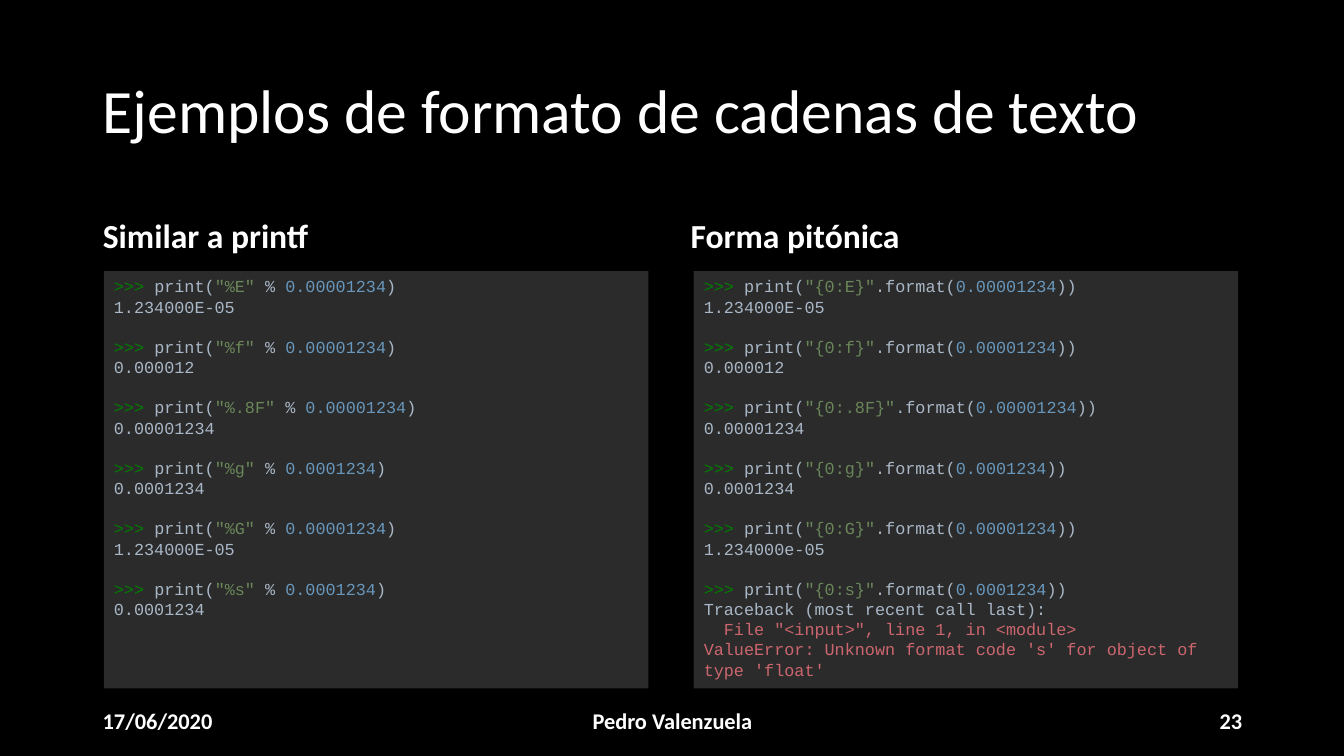
"""Build a slide that compares two ways of formatting strings in Python."""
import dataclasses
import typing

import lxml.etree
import pptx
import pptx.dml.color
import pptx.enum.text
import pptx.oxml.ns
import pptx.util

Inches = pptx.util.Inches
Pt = pptx.util.Pt
Align = pptx.enum.text.PP_ALIGN
Anchor = pptx.enum.text.MSO_ANCHOR


@dataclasses.dataclass(frozen=True)
class Theme:
    back: str = "000000"
    text: str = "FFFFFF"
    panel: str = "2B2B2B"
    prompt: str = "007F00"
    plain: str = "A9B7C6"
    quote: str = "6A8759"
    number: str = "6897BB"
    error: str = "CC666E"
    sans: str = "Calibri"
    mono: str = "Courier New"
    title: int = 44
    head: int = 24
    foot: int = 16
    code: int = 12
    line: float = 14.4


THEME = Theme()


@dataclasses.dataclass(frozen=True)
class Box:
    left: float
    top: float
    width: float
    height: float


@dataclasses.dataclass(frozen=True)
class Label:
    text: str
    box: Box
    size: int
    bold: bool = True
    align: Align = Align.LEFT
    anchor: Anchor = Anchor.MIDDLE
    space: float = 1.0


@dataclasses.dataclass(frozen=True)
class Column:
    head: Label
    panel: Box
    quote: str
    middle: str
    close: str
    results: tuple[str, ...]
    errors: tuple[str, ...] = ()


SMALL = "0.0001234"
TINY = "0.00001234"
CASES = (("E", TINY), ("f", TINY), (".8F", TINY),
         ("g", SMALL), ("G", TINY), ("s", SMALL))
SHARED = ("1.234000E-05", "0.000012", TINY, SMALL)

TITLE = Label("Ejemplos de formato de cadenas de texto",
              Box(0.92, 0.4, 11.5, 1.45), THEME.title, bold=False, space=0.9)


def header(text: str, left: float, width: float) -> Label:
    """Describe the heading of a column."""
    return Label(text, Box(left, 2.11, width, 0.48), THEME.head,
                 anchor=Anchor.BOTTOM, space=0.9)


COLUMNS = (
    Column(header("Similar a printf", 0.92, 5.64), Box(1.03, 2.69, 5.4, 4.14),
           '"%{}" ', "% ", ")", SHARED + ("1.234000E-05", SMALL)),
    Column(header("Forma pitónica", 6.75, 5.67), Box(6.88, 2.69, 5.4, 4.14),
           '"{{0:{}}}"', ".format(", "))",
           SHARED + ("1.234000e-05", "Traceback (most recent call last):"),
           ('  File "<input>", line 1, in <module>',
            "ValueError: Unknown format code 's' for object of type 'float'")),
)
FOOTERS = (
    Label("17/06/2020", Box(0.92, 6.95, 3, 0.4), THEME.foot),
    Label("Pedro Valenzuela", Box(4.42, 6.95, 4.5, 0.4), THEME.foot,
          align=Align.CENTER),
    Label("23", Box(9.42, 6.95, 3, 0.4), THEME.foot, align=Align.RIGHT),
)


def color(code: str) -> pptx.dml.color.RGBColor:
    """Turn a hex code into a colour."""
    return pptx.dml.color.RGBColor.from_string(code)


def place(shape: typing.Any, box: Box, fill: str, anchor: Anchor) -> None:
    """Move and fill a shape and set up its text frame."""
    shape.left, shape.top = Inches(box.left), Inches(box.top)
    shape.width, shape.height = Inches(box.width), Inches(box.height)
    shape.fill.solid()
    shape.fill.fore_color.rgb = color(fill)
    frame = shape.text_frame
    frame.word_wrap = True
    frame.auto_size = pptx.enum.text.MSO_AUTO_SIZE.NONE
    frame.vertical_anchor = anchor


def write(shape: typing.Any, label: Label) -> None:
    """Put a one-line label in a shape."""
    place(shape, label.box, THEME.back, label.anchor)
    line = shape.text_frame.paragraphs[0]
    line.text = label.text
    line.alignment = label.align
    line.line_spacing = label.space
    line.space_before = Pt(0)
    line.font.name = THEME.sans
    line.font.size = Pt(label.size)
    line.font.bold = label.bold
    line.font.color.rgb = color(THEME.text)


def add_line(line: typing.Any, parts: list[tuple[str, str]], gap: float) -> None:
    """Fill a paragraph with coloured pieces of code."""
    props = line._p.get_or_add_pPr()
    props.set("marL", "0")
    props.set("indent", "0")
    lxml.etree.SubElement(props, pptx.oxml.ns.qn("a:buNone"))
    line.alignment = Align.LEFT
    line.line_spacing = Pt(THEME.line)
    line.space_before = Pt(gap)
    line.font.name = THEME.mono
    line.font.size = Pt(THEME.code)
    for text, hue in parts:
        run = line.add_run()
        run.text = text
        font = run.font if len(parts) > 1 else line.font
        font.color.rgb = color(hue)


def list_code(column: Column) -> list[list[tuple[str, str]]]:
    """List the coloured lines of a console session."""
    lines = []
    for (code, number), result in zip(CASES, column.results):
        lines.append([(">>> ", THEME.prompt), ("print(", THEME.plain),
                      (column.quote.format(code), THEME.quote),
                      (column.middle, THEME.plain), (number, THEME.number),
                      (column.close, THEME.plain)])
        lines.append([(result, THEME.plain)])
    return lines + [[(text, THEME.error)] for text in column.errors]


def draw_code(shape: typing.Any, column: Column) -> None:
    """Draw a console session in a panel."""
    place(shape, column.panel, THEME.panel, Anchor.TOP)
    frame = shape.text_frame
    for index, parts in enumerate(list_code(column)):
        line = frame.add_paragraph() if index else frame.paragraphs[0]
        starts = index > 0 and len(parts) > 1
        add_line(line, parts, THEME.line if starts else 0)


def main() -> None:
    """Build and save the slide."""
    deck = pptx.Presentation()
    deck.slide_width, deck.slide_height = Inches(13.33), Inches(7.5)
    slide = deck.slides.add_slide(deck.slide_layouts.get_by_name("Comparison"))
    slide.background.fill.solid()
    slide.background.fill.fore_color.rgb = color(THEME.back)
    title, *slots = slide.placeholders
    write(title, TITLE)
    for column, head, body in zip(COLUMNS, slots[::2], slots[1::2]):
        write(head, column.head)
        draw_code(body, column)
    for label in FOOTERS:
        write(slide.shapes.add_textbox(0, 0, 0, 0), label)
    deck.save("out.pptx")


if __name__ == "__main__":
    main()
